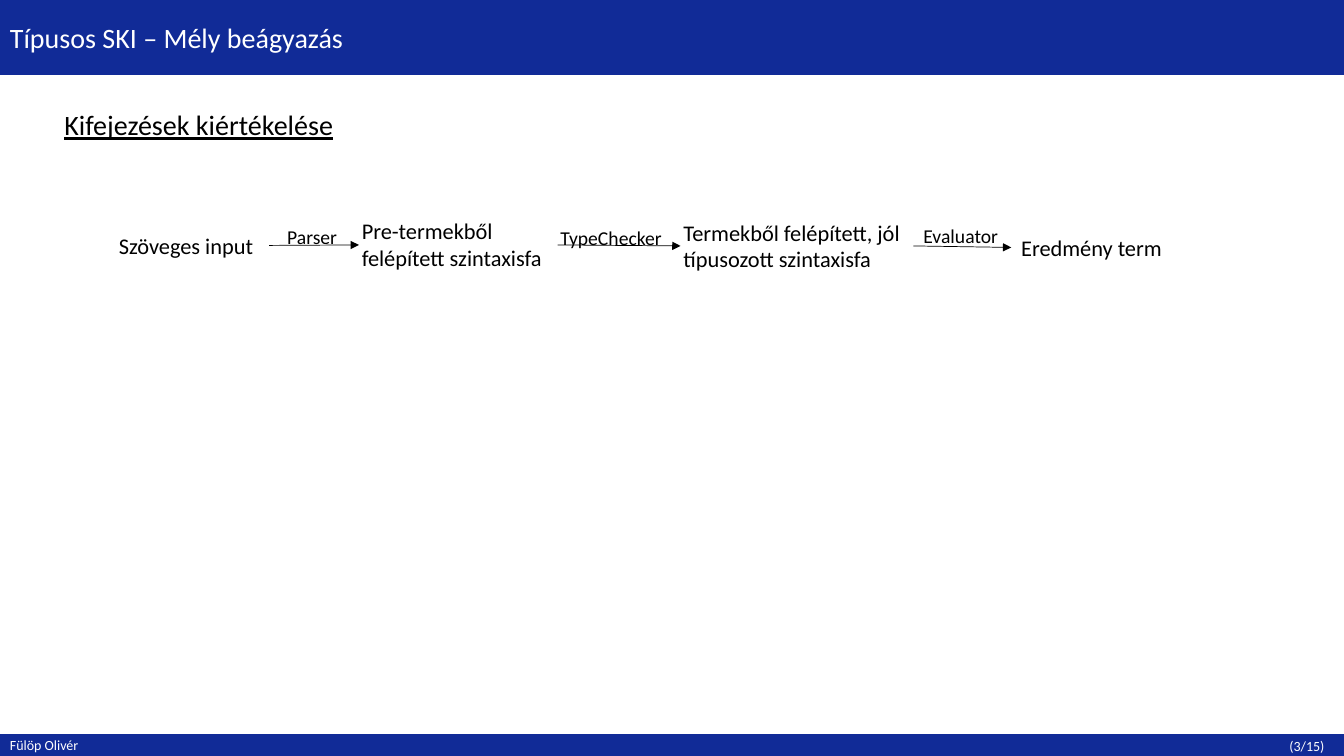
from pptx import Presentation
from pptx.dml.color import RGBColor
from pptx.enum.shapes import MSO_CONNECTOR, MSO_SHAPE
from pptx.enum.text import MSO_AUTO_SIZE
from pptx.oxml.ns import qn
from pptx.util import Inches, Pt
from lxml.etree import SubElement

COLORS = {"blue": "112B97", "white": "FFFFFF", "black": "000000"}

deck = Presentation()
deck.slide_width, deck.slide_height = Inches(13.33), Inches(7.5)
slide = deck.slides.add_slide(deck.slide_layouts[6])


def add_text(text, left, top, width, height, size=16, color="black", underline=None):
    box = slide.shapes.add_textbox(Inches(left), Inches(top), Inches(width), Inches(height))
    frame = box.text_frame
    frame.word_wrap = True
    frame.auto_size = MSO_AUTO_SIZE.SHAPE_TO_FIT_TEXT
    run = frame.paragraphs[0].add_run()
    run.text = text
    run.font.name = "Calibri"
    run.font.size = Pt(size)
    run.font.underline = underline
    run.font.color.rgb = RGBColor.from_string(COLORS[color])
    return box


for top, height in [(0, 0.74), (7.29, 0.21)]:
    band = slide.shapes.add_shape(
        MSO_SHAPE.RECTANGLE, 0, Inches(top), deck.slide_width, Inches(height))
    band.shadow.inherit = False
    band.fill.solid()
    band.fill.fore_color.rgb = RGBColor.from_string(COLORS["blue"])
    band.line.color.rgb = RGBColor.from_string(COLORS["blue"])
    band.line.width = Pt(1)

add_text("Típusos SKI – Mély beágyazás", 0, 0.15, 3.94, 0.44, size=20, color="white")
add_text("Kifejezések kiértékelése", 0.54, 1.02, 3.21, 0.44, size=20, underline=True)
add_text("Fülöp Olivér", 0, 7.26, 1.08, 0.27, size=10, color="white")
add_text("(3/15)", 12.69, 7.27, 0.64, 0.27, size=10, color="white")

source = add_text("Szöveges input", 1.08, 2.25, 1.59, 0.37)
pre_terms = add_text("Pre-termekből felépített szintaxisfa", 3.49, 2.11, 2.04, 0.64)
typed_terms = add_text("Termekből felépített, jól típusozott szintaxisfa", 6.68, 2.12, 2.38, 0.64)
result = add_text("Eredmény term", 10.03, 2.27, 2.04, 0.37)

add_text("Parser", 2.75, 2.18, 0.74, 0.34, size=14)
add_text("TypeChecker", 5.46, 2.19, 1.23, 0.34, size=14)
add_text("Evaluator", 9.06, 2.17, 0.97, 0.34, size=14)

for stage, next_stage, end_x, end_y in [
    (source, None, 3.56, 2.43),
    (pre_terms, None, 6.75, 2.44),
    (typed_terms, result, 10.05, 2.45),
]:
    arrow = slide.shapes.add_connector(
        MSO_CONNECTOR.STRAIGHT, stage.left + stage.width, Inches(end_y),
        Inches(end_x), Inches(end_y))
    arrow.begin_connect(stage, 3)
    if next_stage:
        arrow.end_connect(next_stage, 1)
    arrow.line.color.rgb = RGBColor.from_string(COLORS["black"])
    arrow.line.width = Pt(0.5)
    SubElement(arrow.line._get_or_add_ln(), qn("a:tailEnd"), type="triangle")
    SubElement(arrow._element.spPr, qn("a:effectLst"))

deck.save("out.pptx")
